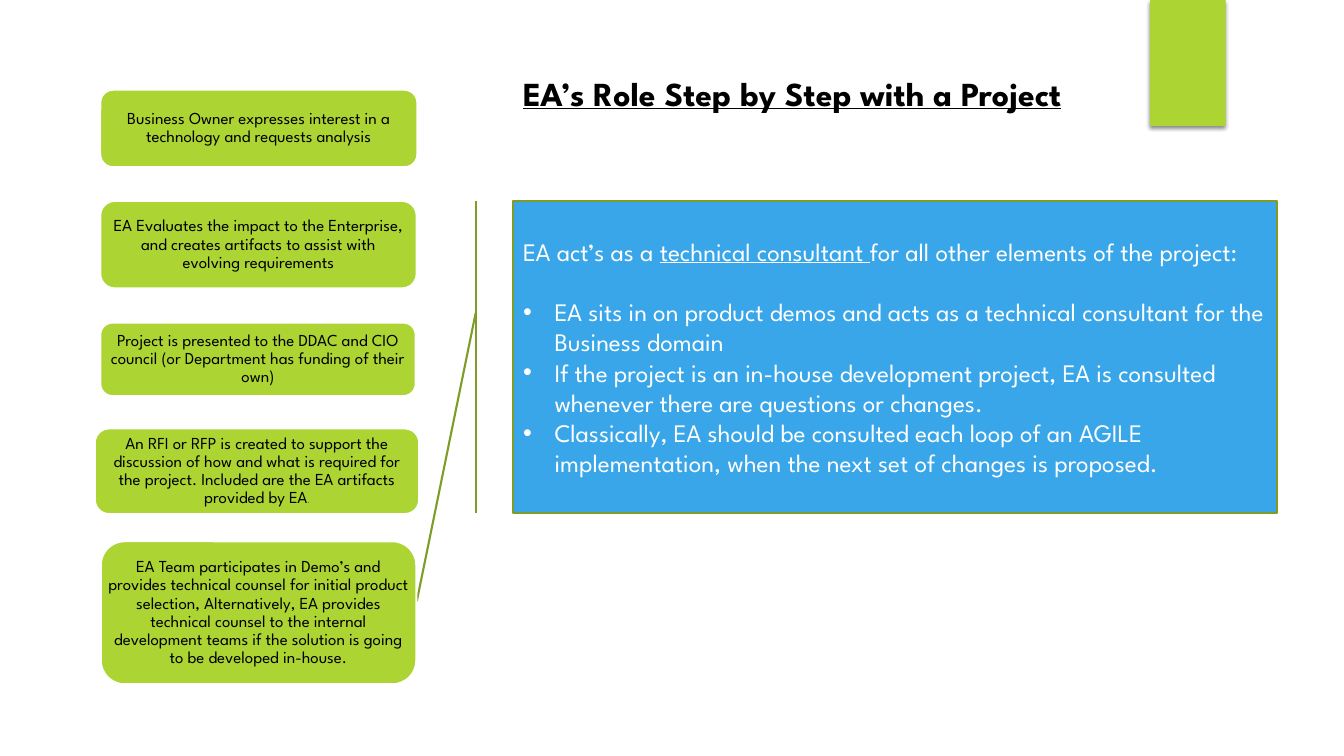
from lxml import etree
from pptx import Presentation
from pptx.dml.color import RGBColor
from pptx.enum.shapes import MSO_SHAPE
from pptx.enum.text import MSO_ANCHOR, PP_ALIGN
from pptx.oxml.ns import qn
from pptx.util import Pt

RECTANGLE = MSO_SHAPE.RECTANGLE
ROUNDED = MSO_SHAPE.ROUNDED_RECTANGLE
CALLOUT = MSO_SHAPE.LINE_CALLOUT_1_BORDER_AND_ACCENT_BAR
LEFT, CENTER = PP_ALIGN.LEFT, PP_ALIGN.CENTER
TOP, MIDDLE = MSO_ANCHOR.TOP, MSO_ANCHOR.MIDDLE

FONT = "League Spartan"
COLORS = {
    "green": "ACD433",
    "olive": "7F9D26",
    "blue": "38A6E9",
    "white": "FFFFFF",
    "black": "000000",
}


def add_block(kind, left, top, width, height, fill, line=None):
    block = slide.shapes.add_shape(kind, Pt(left), Pt(top), Pt(width), Pt(height))
    block.shadow.inherit = False
    block.fill.solid()
    block.fill.fore_color.rgb = RGBColor.from_string(COLORS[fill])
    if line:
        block.line.color.rgb = RGBColor.from_string(COLORS[line])
        block.line.width = Pt(1.5)
    else:
        block.line.fill.background()
    block.text_frame.word_wrap = True
    block.text_frame.vertical_anchor = MIDDLE
    return block


def style(paragraph, size, color, alignment=LEFT):
    paragraph.alignment = alignment
    paragraph.font.name = FONT
    paragraph.font.size = Pt(size)
    paragraph.font.color.rgb = RGBColor.from_string(COLORS[color])


prs = Presentation()
prs.slide_width, prs.slide_height = Pt(960), Pt(540)
slide = prs.slides.add_slide(prs.slide_layouts[5])

# Title
title = slide.shapes.title
title.left, title.top, title.width, title.height = Pt(366.5), Pt(48.2), Pt(438.5), Pt(36)
title.text_frame.text = "EA’s Role Step by Step with a Project"
title.text_frame.vertical_anchor = TOP
title.text_frame.word_wrap = True
heading = title.text_frame.paragraphs[0]
style(heading, 24, "black")
heading.font.bold = True
heading.font.underline = True

# Green tab at the top edge, with a soft shadow
tab = add_block(RECTANGLE, 821.5, 0, 54, 90, "green")
effects = tab._element.spPr.find(qn("a:effectLst"))
shadow = etree.SubElement(effects, qn("a:outerShdw"), blurRad=str(Pt(3)),
                          dist=str(Pt(2)), dir="5400000", rotWithShape="0")
shadow_color = etree.SubElement(shadow, qn("a:srgbClr"), val=COLORS["black"])
etree.SubElement(shadow_color, qn("a:alpha"), val="45000")

# Consultant callout, pointing at the last step
consultant = add_block(CALLOUT, 366.5, 143.3, 545.8, 223.2, "blue", "olive")
for index, value in enumerate((0.36, -0.049, 1.282, -0.126)):
    consultant.adjustments[index] = value

intro = consultant.text_frame.paragraphs[0]
style(intro, 18, "white")
intro.space_after = Pt(21.6)
for text, underlined in (
    ("EA act’s as a ", False),
    ("technical consultant ", True),
    ("for all other elements of the project:", False),
):
    run = intro.add_run()
    run.text = text
    run.font.underline = underlined

for duty in (
    "EA sits in on product demos and acts as a technical consultant for the Business domain",
    "If the project is an in-house development project, EA is consulted whenever "
    "there are questions or changes.",
    "Classically, EA should be consulted each loop of an AGILE implementation, "
    "when the next set of changes is proposed.",
):
    bullet = consultant.text_frame.add_paragraph()
    bullet.text = duty
    style(bullet, 18, "white")
    properties = bullet._p.get_or_add_pPr()
    properties.set("marL", str(Pt(22.5)))
    properties.set("indent", str(-Pt(22.5)))
    etree.SubElement(properties, qn("a:buFont"), typeface="Arial")
    etree.SubElement(properties, qn("a:buChar"), char="•")
    # Bullet settings come before the default run settings
    properties.append(properties.find(qn("a:defRPr")))

# Project steps: left, top, width, height, side inset, text
steps = (
    (71.6, 64.1, 226.6, 55.4, 4.3,
     "Business Owner expresses interest in a technology and requests analysis"),
    (71.6, 143.5, 226.1, 62.6, 4.3,
     "EA Evaluates the impact to the Enterprise, and creates artifacts to assist "
     "with evolving requirements"),
    (71.6, 230.4, 225.4, 52.6, 4.3,
     "Project is presented to the DDAC and CIO council (or Department has funding "
     "of their own)"),
    (67.7, 306, 231.8, 61.2, 4.3,
     "An RFI or RFP is created to support the discussion of how and what is required "
     "for the project. Included are the EA artifacts provided by EA"),
    (72, 386.6, 225.4, 102.2, 0,
     "EA Team participates in Demo’s and provides technical counsel for initial product "
     "selection, Alternatively, EA provides technical counsel to the internal "
     "development teams if the solution is going to be developed in-house."),
)
for left, top, width, height, inset, text in steps:
    step = add_block(ROUNDED, left, top, width, height, "green", "white")
    frame = step.text_frame
    frame.margin_left = frame.margin_right = Pt(inset)
    frame.margin_top = frame.margin_bottom = Pt(0)
    frame.text = text
    paragraph = frame.paragraphs[0]
    style(paragraph, 12, "black", CENTER)
    paragraph.line_spacing = 0.9
    if text.endswith("provided by EA"):
        full_stop = paragraph.add_run()
        full_stop.text = "."
        full_stop.font.size = Pt(5)

prs.save("out.pptx")
